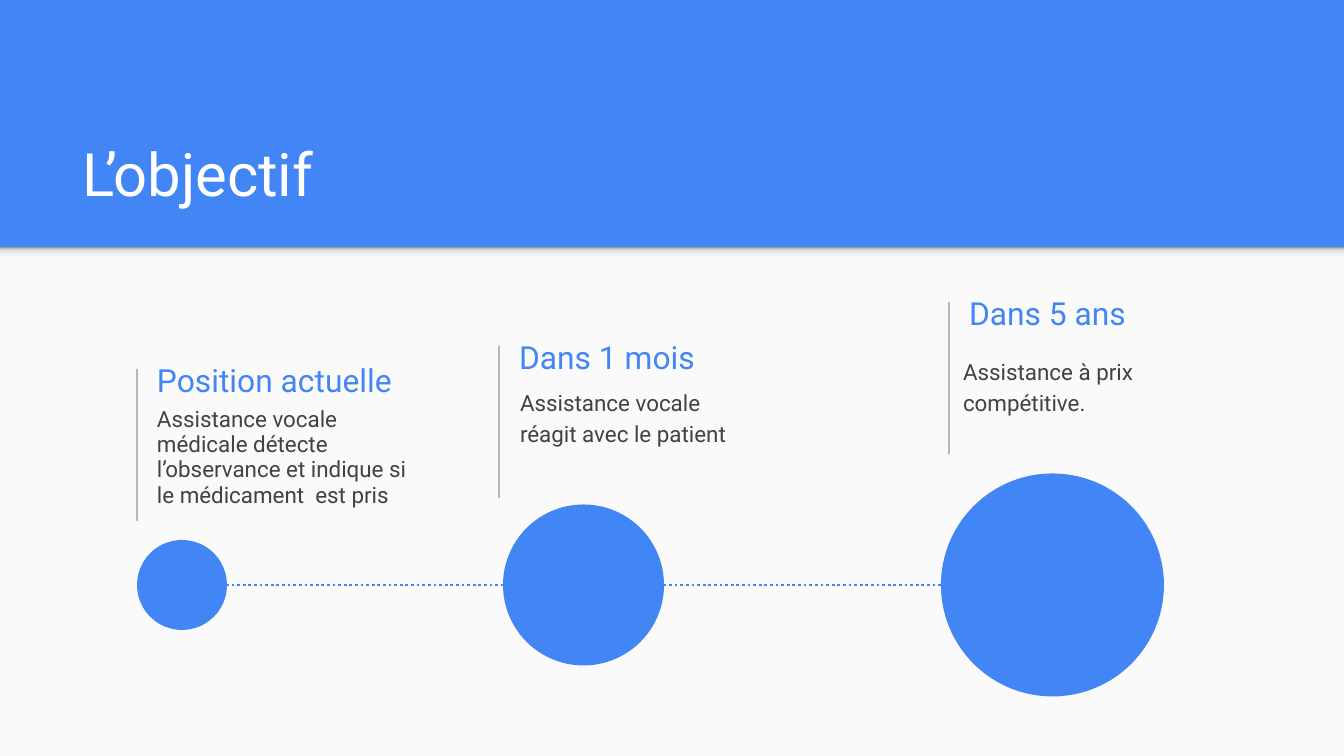
from lxml.etree import SubElement
from pptx import Presentation
from pptx.dml.color import RGBColor
from pptx.enum.dml import MSO_LINE
from pptx.enum.shapes import MSO_CONNECTOR, MSO_SHAPE
from pptx.enum.text import MSO_ANCHOR as ANCHOR
from pptx.oxml.ns import qn
from pptx.util import Pt

PX = 914400 / 134.4
COLORS = {
    "blue": "4285F4",
    "panel": "FAFAFA",
    "white": "FFFFFF",
    "rule": "B7B7B7",
    "body": "424242",
}
SHADOW_STOPS = [(0, "F9F9F9"), (36, "F9F9F9"), (80, "DEDEDE"), (100, "999999")]


def emu(*lengths):
    """Turn px lengths into EMU."""
    return [round(length * PX) for length in lengths]


def add_text(text, box, size, color, anchor=ANCHOR.TOP, line_spacing=1.0, space_after=0):
    frame = slide.shapes.add_textbox(*emu(*box)).text_frame
    frame.word_wrap = True
    frame.vertical_anchor = anchor
    frame.margin_left, frame.margin_top, frame.margin_right, frame.margin_bottom = emu(13, 13, 13, 13)
    paragraph = frame.paragraphs[0]
    paragraph.line_spacing = line_spacing
    paragraph.space_after = Pt(space_after)
    run = paragraph.add_run()
    run.text = text
    run.font.name = "Roboto"
    run.font.size = Pt(size)
    run.font.color.rgb = RGBColor.from_string(COLORS[color])


presentation = Presentation()
presentation.slide_width, presentation.slide_height = emu(1344, 756)
slide = presentation.slides.add_slide(presentation.slide_layouts[6])
slide.background.fill.solid()
slide.background.fill.fore_color.rgb = RGBColor.from_string(COLORS["blue"])

# Light panel, header shadow and title
panel = slide.shapes.add_shape(MSO_SHAPE.RECTANGLE, *emu(0, 248, 1344, 508))
panel.shadow.inherit = False
panel.fill.solid()
panel.fill.fore_color.rgb = RGBColor.from_string(COLORS["panel"])
panel.line.fill.background()

header_shadow = slide.shapes.add_shape(MSO_SHAPE.RECTANGLE, *emu(0, 247, 1344, 16))
header_shadow.shadow.inherit = False
header_shadow.line.fill.background()
header_shadow.fill.gradient()
header_shadow.fill.gradient_angle = 90
stop_list = header_shadow._element.spPr.find(".//" + qn("a:gsLst"))
stop_list.clear()
for percent, color in SHADOW_STOPS:
    stop = SubElement(stop_list, qn("a:gs"), pos=str(percent * 1000))
    SubElement(stop, qn("a:srgbClr"), val=color)

add_text("L’objectif", (70, 109, 1208, 113), 32, "white", anchor=ANCHOR.BOTTOM)

# Milestone texts: heading, rule left and top, body, body box, line spacing
milestones = [
    ("Position actuelle", 137, 369,
     "Assistance vocale médicale détecte l’observance et indique si le médicament  est pris",
     (144, 394, 296, 165), 0.94),
    ("Dans 1 mois", 499, 346,
     "Assistance vocale réagit avec le patient",
     (507, 372, 266, 85), 1.15),
    ("Dans 5 ans", 949, 302,
     "Assistance à prix compétitive.",
     (950, 341, 266, 157), 1.15),
]
# Line ends, colour, width and dash
lines = [((226, 585, 941, 585), "blue", 1.5, MSO_LINE.ROUND_DOT)]
for heading, left, top, body, body_box, spacing in milestones:
    lines.append(((left, top, left, top + 152), "rule", 0.75, None))
    add_text(heading, (left + 7, top - 18, 266, 58), 17, "blue", anchor=ANCHOR.MIDDLE)
    add_text(body, body_box, 12, "body", line_spacing=spacing, space_after=16)

for ends, color, width, dash in lines:
    connector = slide.shapes.add_connector(MSO_CONNECTOR.STRAIGHT, *emu(*ends))
    connector.line.color.rgb = RGBColor.from_string(COLORS[color])
    connector.line.width = Pt(width)
    if dash:
        connector.line.dash_style = dash
    SubElement(connector._element.spPr, qn("a:effectLst"))

# Growing circles centred on the timeline
for left, diameter in [(137, 90), (503, 161), (941, 223)]:
    circle = slide.shapes.add_shape(
        MSO_SHAPE.OVAL, *emu(left, 585 - diameter / 2, diameter, diameter))
    circle.shadow.inherit = False
    circle.fill.solid()
    circle.fill.fore_color.rgb = RGBColor.from_string(COLORS["blue"])
    circle.line.fill.background()

presentation.save("out.pptx")
